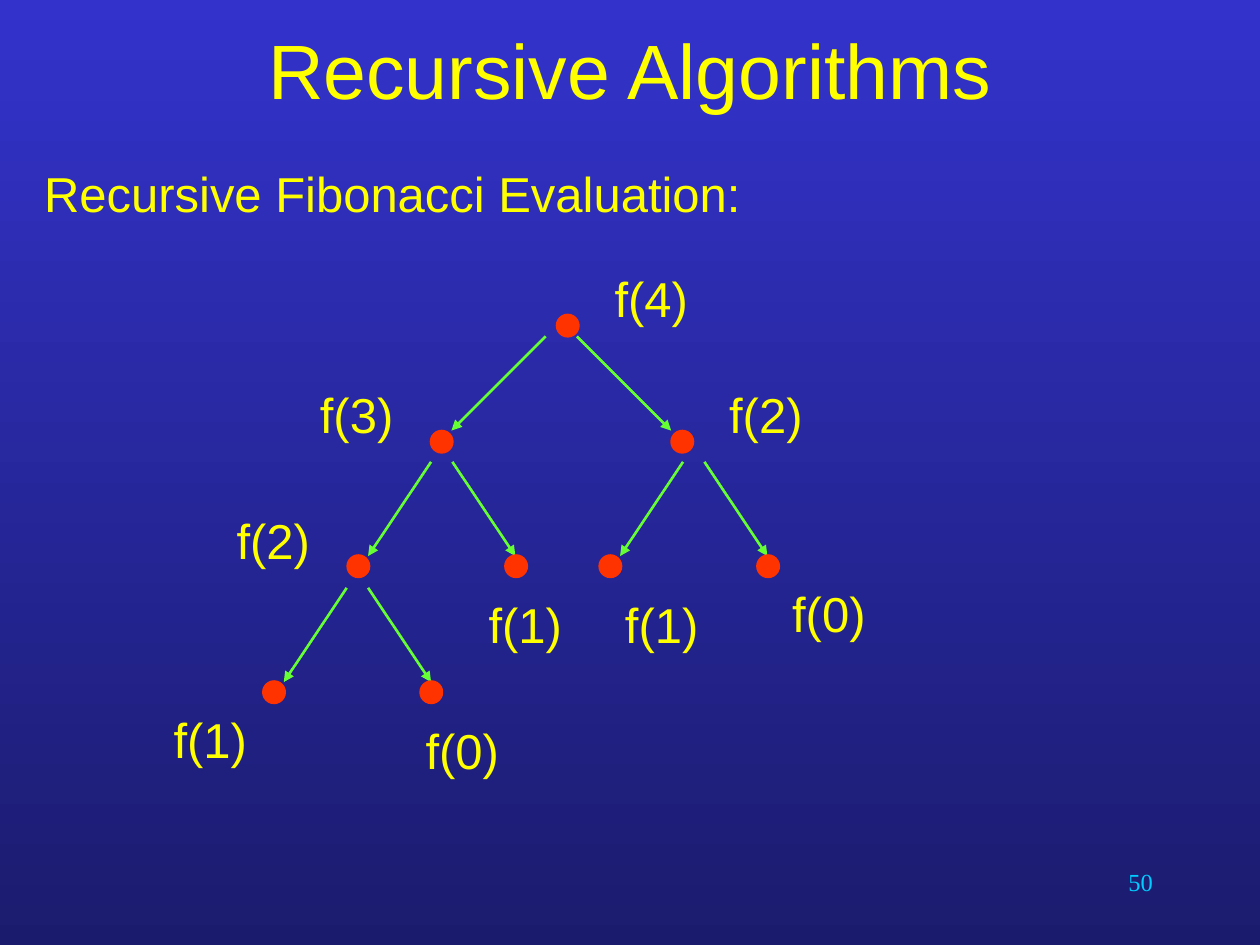
from lxml.etree import SubElement
from pptx import Presentation
from pptx.dml.color import RGBColor
from pptx.enum.shapes import MSO_CONNECTOR, MSO_SHAPE
from pptx.enum.text import MSO_ANCHOR, PP_ALIGN
from pptx.oxml.ns import qn
from pptx.util import Cm, Pt

SKY_BLUE = RGBColor(0x33, 0x33, 0xCC)
NIGHT_BLUE = RGBColor(0x1B, 0x1B, 0x6E)
YELLOW = RGBColor(0xFF, 0xFF, 0x00)
CYAN = RGBColor(0x00, 0xCC, 0xFF)
RED = RGBColor(0xFF, 0x33, 0x00)
GREEN = RGBColor(0x66, 0xFF, 0x33)

DOT_SIZE = 0.43
ARROW_DROP = 1.9
DOT_ROWS = (6.35, 8.69, 11.2, 13.74)

# Each call: label, tree level, dot left, label left, label top
CALLS = (
    ("f(4)", 0, 11.23, 11.86, 5.28),
    ("f(3)", 1, 8.69, 5.92, 7.62),
    ("f(2)", 1, 13.54, 14.17, 7.62),
    ("f(2)", 2, 7.01, 4.24, 10.16),
    ("f(1)", 2, 10.19, 9.32, 11.86),
    ("f(1)", 2, 12.09, 12.07, 11.86),
    ("f(0)", 2, 15.27, 15.44, 11.63),
    ("f(1)", 3, 5.31, 2.97, 14.17),
    ("f(0)", 3, 8.48, 8.05, 14.4),
)

# Each branch: left start, top, gap between starts, sideways reach
BRANCHES = (
    (11.0, 6.78, 0.63, 1.9),
    (8.69, 9.31, 0.43, 1.27),
    (13.77, 9.31, 0.43, 1.27),
    (6.99, 11.85, 0.43, 1.27),
)


def paint_background(slide):
    """Fill the slide with a gradient that darkens downwards."""
    fill = slide.background.fill
    fill.gradient()
    fill.gradient_angle = 270
    for stop, color in zip(fill.gradient_stops, (SKY_BLUE, NIGHT_BLUE)):
        stop.color.rgb = color


def write_text(shape, text, size, align, color=YELLOW, font_name="Arial"):
    """Put one formatted paragraph into a shape."""
    text_frame = shape.text_frame
    text_frame.text = text
    text_frame.word_wrap = True
    paragraph = text_frame.paragraphs[0]
    paragraph.alignment = align
    font = paragraph.runs[0].font
    font.size = Pt(size)
    font.name = font_name
    font.color.rgb = color


def add_title(slide, text):
    """Place and format the title placeholder."""
    title = slide.shapes.title
    title.left, title.top = Cm(1.9), Cm(0.43)
    title.width, title.height = Cm(21.6), Cm(1.9)
    write_text(title, text, 44, PP_ALIGN.CENTER)
    title.text_frame.vertical_anchor = MSO_ANCHOR.MIDDLE


def add_call(slide, label, level, dot_left, label_left, label_top):
    """Add a grouped tree node: a dot and its label."""
    group = slide.shapes.add_group_shape()
    dot = group.shapes.add_shape(
        MSO_SHAPE.FLOWCHART_CONNECTOR,
        Cm(dot_left), Cm(DOT_ROWS[level]), Cm(DOT_SIZE), Cm(DOT_SIZE),
    )
    dot.shadow.inherit = False
    dot.fill.solid()
    dot.fill.fore_color.rgb = RED
    dot.line.color.rgb = RED
    dot.line.width = Pt(1.5)
    textbox = group.shapes.add_textbox(
        Cm(label_left), Cm(label_top), Cm(2.54), Cm(1.45)
    )
    write_text(textbox, label, 28, PP_ALIGN.CENTER)


def add_arrow(slide, left, top, reach):
    """Add a green arrow leading down to a child node."""
    arrow = slide.shapes.add_connector(
        MSO_CONNECTOR.STRAIGHT,
        Cm(left), Cm(top), Cm(left + reach), Cm(top + ARROW_DROP),
    )
    arrow.line.color.rgb = GREEN
    arrow.line.width = Pt(1.5)
    SubElement(arrow.line._get_or_add_ln(), qn("a:tailEnd"), type="triangle")
    SubElement(arrow._element.spPr, qn("a:effectLst"))


def main():
    """Build the slide and save it."""
    presentation = Presentation()
    presentation.slide_width = Cm(25.4)
    presentation.slide_height = Cm(19.05)
    slide = presentation.slides.add_slide(presentation.slide_layouts[5])
    paint_background(slide)
    add_title(slide, "Recursive Algorithms")

    heading = slide.shapes.add_textbox(Cm(0.64), Cm(3.18), Cm(24.33), Cm(1.47))
    write_text(heading, "Recursive Fibonacci Evaluation:", 28, PP_ALIGN.LEFT)
    number = slide.shapes.add_textbox(Cm(18.21), Cm(17.35), Cm(5.28), Cm(1.27))
    write_text(number, "50", 14, PP_ALIGN.RIGHT, CYAN, "Times New Roman")

    for left, top, gap, reach in BRANCHES:
        add_arrow(slide, left, top, -reach)
        add_arrow(slide, left + gap, top, reach)
    for call in CALLS:
        add_call(slide, *call)

    presentation.save("out.pptx")


if __name__ == "__main__":
    main()
